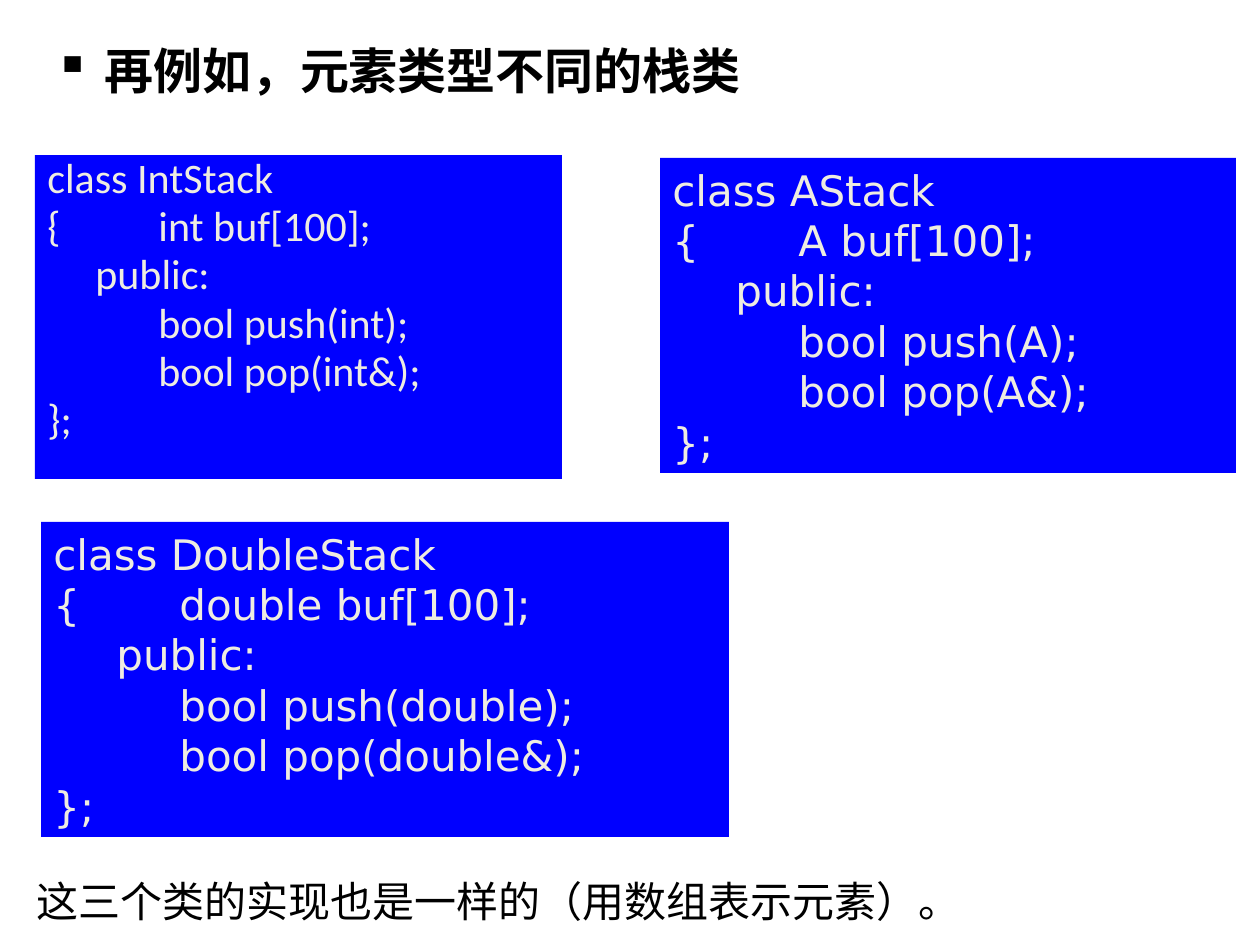
from lxml.etree import SubElement
from pptx import Presentation
from pptx.dml.color import RGBColor
from pptx.enum.shapes import MSO_SHAPE
from pptx.enum.text import MSO_ANCHOR, PP_ALIGN
from pptx.oxml.ns import qn
from pptx.util import Emu, Pt

BLUE = RGBColor(0x00, 0x00, 0xFF)
CREAM = RGBColor(0xEE, 0xEC, 0xE1)
BLACK = RGBColor(0x00, 0x00, 0x00)
SANS = "DejaVu Sans"
PX_PER_INCH = 126


def px(n):
    """Turn pixels into EMU."""
    return Emu(round(n * 914400 / PX_PER_INCH))


def set_hanging(p, indent, bullet=None):
    """Give a paragraph a hanging indent and an optional bullet."""
    pPr = p._p.get_or_add_pPr()
    pPr.set("marL", str(px(indent)))
    pPr.set("indent", str(-px(indent)))
    if bullet:
        SubElement(pPr, qn("a:buChar")).set("char", bullet)


def add_text_run(p, text, size, color, font=SANS, bold=False):
    """Append a formatted run to a paragraph."""
    r = p.add_run()
    r.text = text
    r.font.size = Pt(size)
    r.font.name = font
    r.font.bold = bold
    r.font.color.rgb = color


def add_class_box(s, box, name, kind, font=SANS, compact=False):
    """Draw a blue box that declares a stack class for one element type."""
    sp = s.shapes.add_shape(MSO_SHAPE.RECTANGLE, *map(px, box))
    sp.shadow.inherit = False
    sp.fill.solid()
    sp.fill.fore_color.rgb = BLUE
    sp.line.fill.background()
    tf = sp.text_frame
    tf.word_wrap = True
    tf.vertical_anchor = MSO_ANCHOR.TOP
    lines = [f"class {name}", f"{{\t\t{kind} buf[100];", "\tpublic:",
             f"\t\tbool push({kind});", f"\t\tbool pop({kind}&);", "};"]
    for i, line in enumerate(lines):
        p = tf.add_paragraph() if i else tf.paragraphs[0]
        p.alignment = PP_ALIGN.LEFT
        if compact:
            set_hanging(p, 48)
            p.line_spacing = 0.8
            p.space_before = Pt(4.5 if i else 0)
        add_text_run(p, line, 24, CREAM, font)


def add_note(s, box, text, size, bullet=None, bold=False, wrap=True):
    """Add a one-paragraph black text box."""
    tf = s.shapes.add_textbox(*map(px, box)).text_frame
    tf.word_wrap = wrap
    p = tf.paragraphs[0]
    set_hanging(p, 50, bullet)
    add_text_run(p, text, size, BLACK, bold=bold)


def main():
    """Build the slide and save it."""
    prs = Presentation()
    prs.slide_width, prs.slide_height = px(1260), px(945)
    s = prs.slides.add_slide(prs.slide_layouts[6])
    add_class_box(s, (35, 155, 527, 324), "IntStack", "int", "Calibri", compact=True)
    add_class_box(s, (41, 522, 688, 315), "DoubleStack", "double")
    add_class_box(s, (660, 158, 576, 315), "AStack", "A")
    add_note(s, (42, 34, 716, 72), "再例如，元素类型不同的栈类", 28, "▪", bold=True, wrap=False)
    add_note(s, (24, 869, 1012, 64), "这三个类的实现也是一样的（用数组表示元素）。", 24)
    prs.save("out.pptx")


if __name__ == "__main__":
    main()
